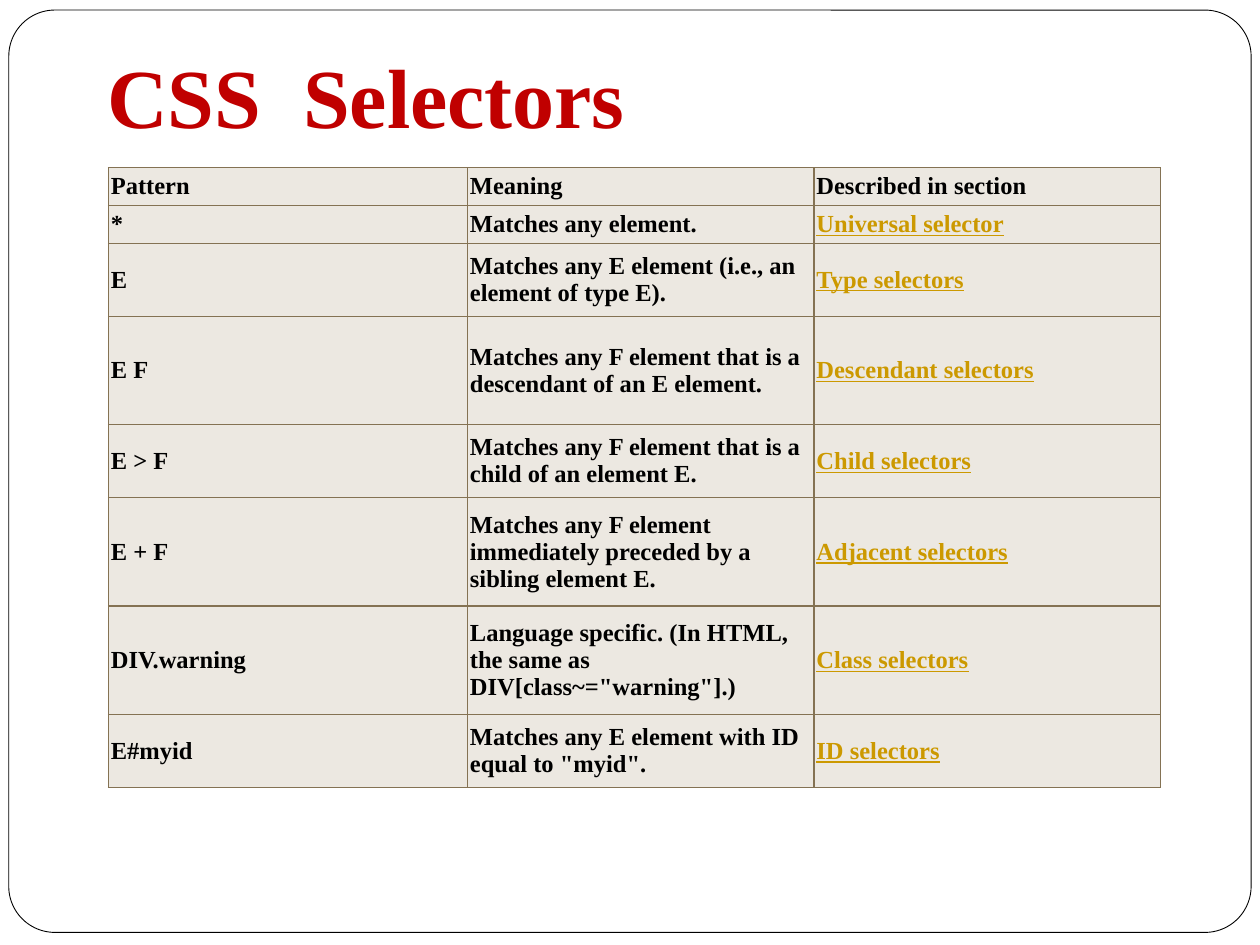
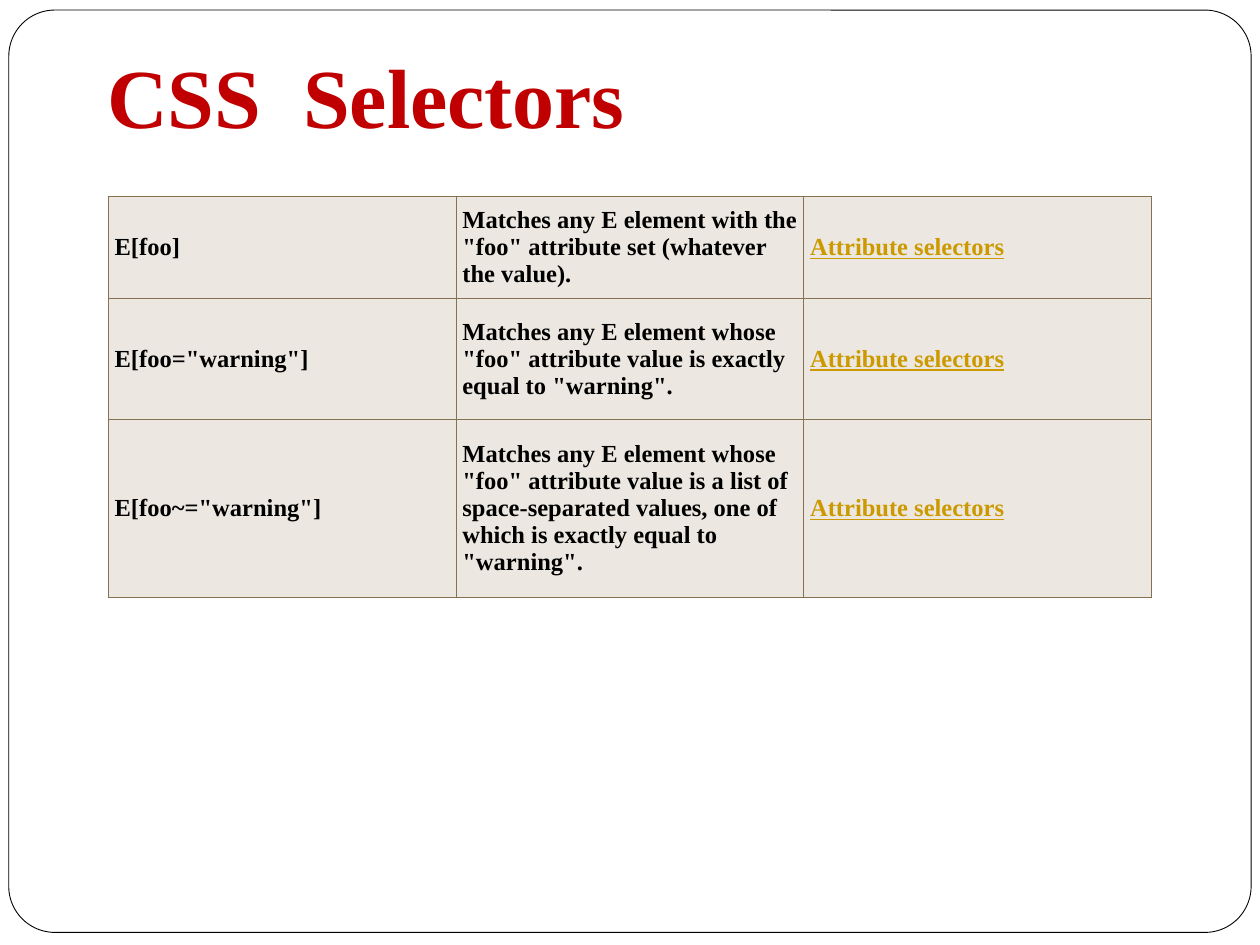
import pptx
import pptx.dml.color
import pptx.enum.shapes
import pptx.enum.text
import pptx.oxml
import pptx.oxml.ns
import pptx.util
from lxml import etree

Inches, Pt = pptx.util.Inches, pptx.util.Pt
RGBColor = pptx.dml.color.RGBColor
qn = pptx.oxml.ns.qn

WHITE = RGBColor(0xFF, 0xFF, 0xFF)
BLACK = RGBColor(0x00, 0x00, 0x00)
RED = RGBColor(0xC0, 0x00, 0x00)
DARK_RED = RGBColor(0xB4, 0x1A, 0x06)
GOLD = RGBColor(0xCC, 0x99, 0x00)
BEIGE = RGBColor(0xEC, 0xE8, 0xE1)
BROWN = RGBColor(0x84, 0x72, 0x53)

COMMON_SELECTORS = [
    ("Pattern", "Meaning", "Described in section"),
    ("*", "Matches any element.", "Universal selector"),
    ("E", "Matches any E element (i.e., an element of type E).", "Type selectors"),
    ("E F", "Matches any F element that is a descendant of an E element.",
     "Descendant selectors"),
    ("E > F", "Matches any F element that is a child of an element E.",
     "Child selectors"),
    ("E + F", "Matches any F element immediately preceded by a sibling element E.",
     "Adjacent selectors"),
    ("DIV.warning",
     'Language specific. (In HTML, the same as DIV[class~="warning"].)',
     "Class selectors"),
    ("E#myid", 'Matches any E element with ID equal to "myid".', "ID selectors"),
]
ATTRIBUTE_SELECTORS = [
    ("E[foo]",
     'Matches any E element with the "foo" attribute set (whatever the value).',
     "Attribute selectors"),
    ('E[foo="warning"]',
     'Matches any E element whose "foo" attribute value is exactly equal to "warning".',
     "Attribute selectors"),
    ('E[foo~="warning"]',
     'Matches any E element whose "foo" attribute value is a list of '
     'space-separated values, one of which is exactly equal to "warning".',
     "Attribute selectors"),
]


def add_line(parent, tag, width, color):
    ln = etree.SubElement(parent, qn(tag), w=str(Pt(width)))
    fill = etree.SubElement(ln, qn("a:solidFill"))
    etree.SubElement(fill, qn("a:srgbClr"), val=str(color))
    return ln


class Deck:
    """Shared style and the slide being built."""

    font_name = "Times New Roman"

    def __init__(self):
        self.prs = pptx.Presentation()
        self.prs.slide_width = Inches(10)
        self.prs.slide_height = Inches(7.5)
        self.s = None

    def add_slide(self, title):
        self.s = self.prs.slides.add_slide(self.prs.slide_layouts[5])
        self.add_frame()
        self.set_title(title)

    def add_frame(self):
        frame = self.s.shapes.add_shape(
            pptx.enum.shapes.MSO_SHAPE.ROUNDED_RECTANGLE,
            Inches(0.07), Inches(0.08), Inches(9.86), Inches(7.32))
        frame.adjustments[0] = 0.05
        frame.shadow.inherit = False
        frame.fill.solid()
        frame.fill.fore_color.rgb = WHITE
        frame.line.color.rgb = BLACK
        frame.line.width = Pt(0.5)
        # Send the frame behind the title
        frame.element.getparent().insert(2, frame.element)

    def style(self, p, size, color):
        p.font.name = self.font_name
        p.font.size = Pt(size)
        p.font.bold = True
        p.font.color.rgb = color

    def set_title(self, text):
        sp = self.s.shapes.title
        sp.left, sp.top = Inches(0.75), Inches(0.29)
        sp.width, sp.height = Inches(7.69), Inches(0.91)
        tf = sp.text_frame
        tf.auto_size = pptx.enum.text.MSO_AUTO_SIZE.SHAPE_TO_FIT_TEXT
        tf.vertical_anchor = pptx.enum.text.MSO_ANCHOR.BOTTOM
        p = tf.paragraphs[0]
        p.alignment = pptx.enum.text.PP_ALIGN.LEFT
        self.style(p, 48, RED)
        r = p.add_run()
        r.text = text
        add_line(r.font._element, "a:ln", 1.42, DARK_RED)

    def add_table(self, rows, top, widths, heights, margin_x, margin_y, header=False):
        shape = self.s.shapes.add_table(
            len(rows), len(widths), Inches(0.86), Inches(top),
            Inches(sum(widths)), Inches(sum(heights)))
        table = shape.table
        table.first_row = table.horz_banding = False
        for col, width in zip(table.columns, widths):
            col.width = Inches(width)
        for i, (row, height) in enumerate(zip(rows, heights)):
            table.rows[i].height = Inches(height)
            for j, text in enumerate(row):
                is_link = j == len(row) - 1 and not (header and i == 0)
                self.fill_cell(table.cell(i, j), text, is_link, margin_x, margin_y)

    def fill_cell(self, cell, text, is_link, margin_x, margin_y):
        cell.margin_left = cell.margin_right = Inches(margin_x)
        cell.margin_top = cell.margin_bottom = Inches(margin_y)
        cell.vertical_anchor = pptx.enum.text.MSO_ANCHOR.MIDDLE
        cell.text = text
        p = cell.text_frame.paragraphs[0]
        self.style(p, 14, GOLD if is_link else BLACK)
        p.font.underline = is_link
        # Borders come before the fill in the cell properties
        for side in "LRTB":
            add_line(cell._tc.get_or_add_tcPr(), f"a:ln{side}", 0.75, BROWN)
        cell.fill.solid()
        cell.fill.fore_color.rgb = BEIGE


def main():
    deck = Deck()

    # Common selectors
    deck.add_slide("CSS  Selectors")
    deck.add_table(COMMON_SELECTORS, 1.33, [2.85, 2.75, 2.75],
                   [0.3, 0.3, 0.58, 0.86, 0.58, 0.86, 0.86, 0.58],
                   0.02, 0.01, header=True)

    # Attribute selectors
    deck.add_slide("CSS  Selectors")
    deck.add_table(ATTRIBUTE_SELECTORS, 1.56, [2.76] * 3,
                   [0.81, 0.96, 1.41], 0.05, 0.03)

    deck.prs.save("out.pptx")


if __name__ == "__main__":
    main()
